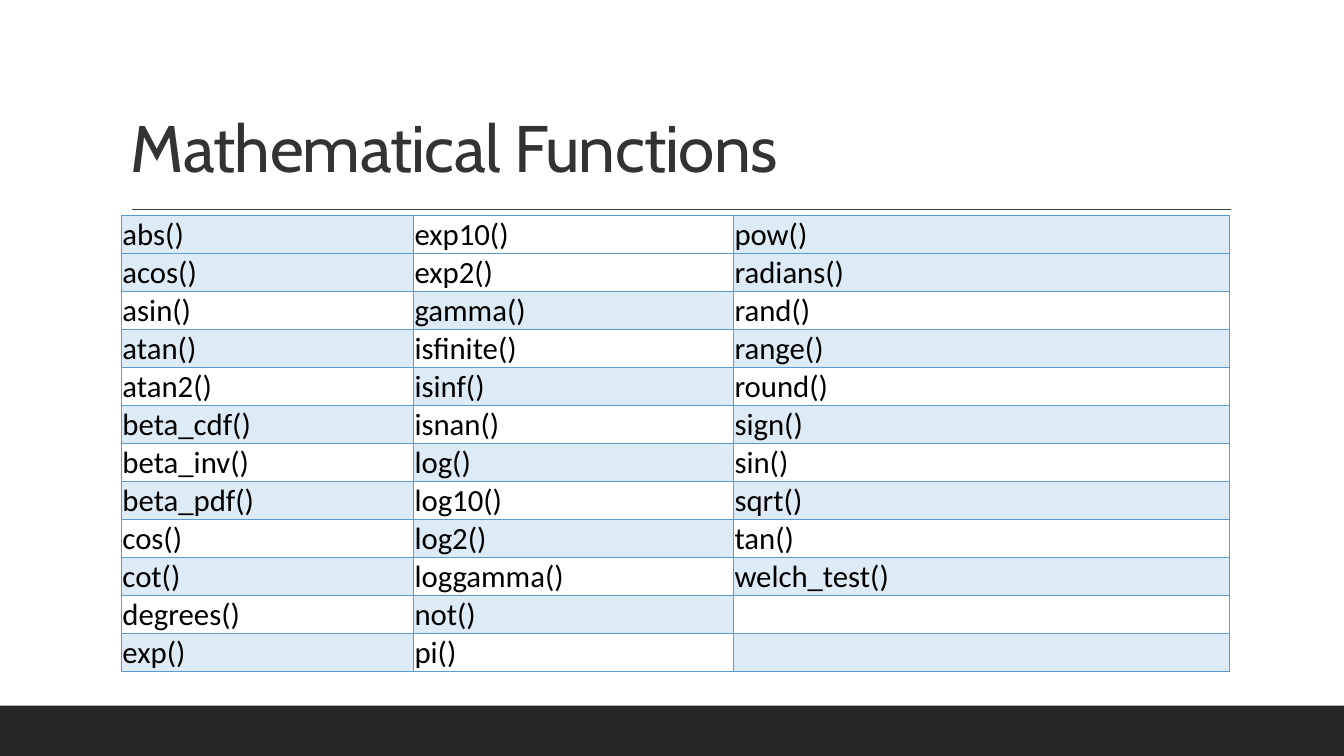
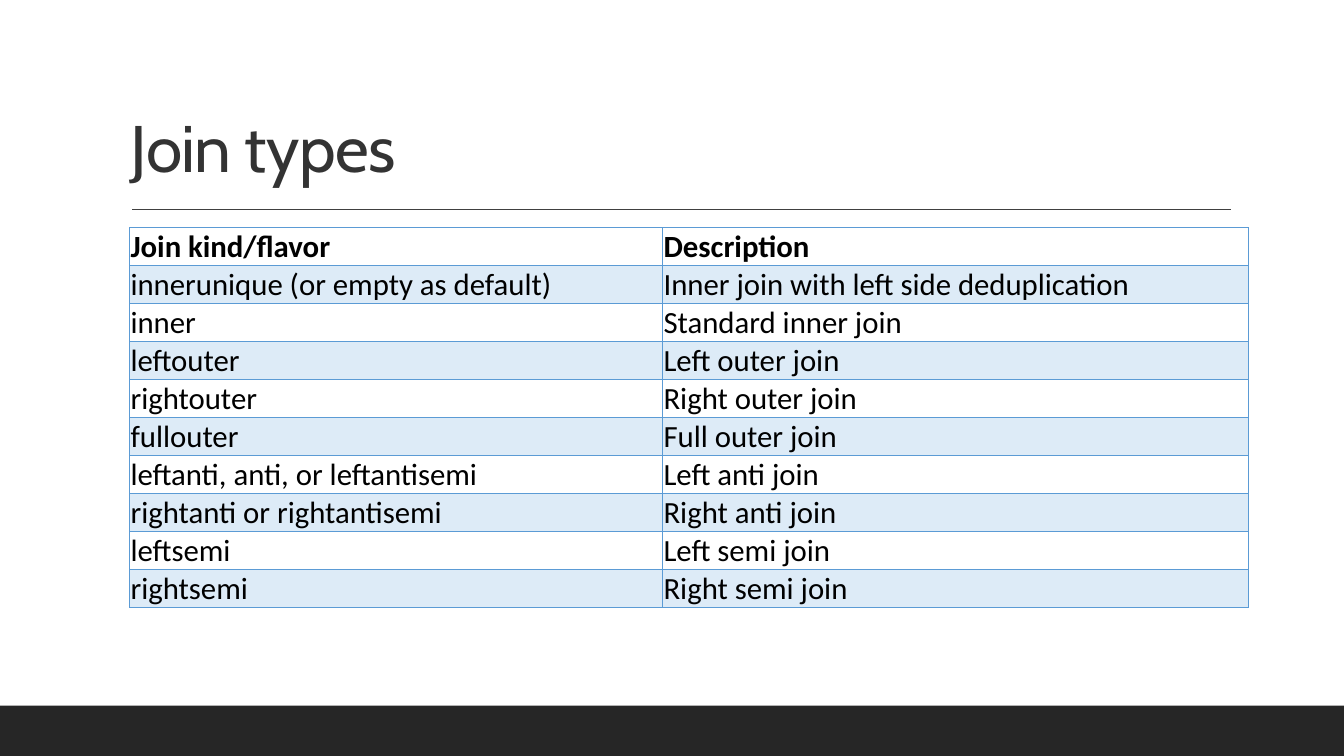
from dataclasses import dataclass

from pptx import Presentation, oxml, util as u
from pptx.dml.color import RGBColor
from pptx.enum import shapes, text
from pptx.oxml import ns


@dataclass(frozen=True)
class Theme:
    footer: str = "262626"
    rule: str = "404040"
    title: str = "333333"
    body: str = "000000"
    band: str = "DDEBF7"
    border: str = "5B9BD5"
    title_font: str = "Cabin"
    body_font: str = "Calibri"
    title_size: int = 47
    body_size: int = 22
    rule_width: float = 1
    border_width: float = 0.5
    row_share: float = 4.97


FUNCTION_ROWS = 12
FUNCTIONS = """
abs() acos() asin() atan() atan2() beta_cdf() beta_inv() beta_pdf() cos() cot() degrees() exp()
exp10() exp2() gamma() isfinite() isinf() isnan() log() log10() log2() loggamma() not() pi()
pow() radians() rand() range() round() sign() sin() sqrt() tan() welch_test()
""".split()

JOINS = [
    ("Join kind/flavor", "Description"),
    ("innerunique (or empty as default)", "Inner join with left side deduplication"),
    ("inner", "Standard inner join"),
    ("leftouter", "Left outer join"),
    ("rightouter", "Right outer join"),
    ("fullouter", "Full outer join"),
    ("leftanti, anti, or leftantisemi", "Left anti join"),
    ("rightanti or rightantisemi", "Right anti join"),
    ("leftsemi", "Left semi join"),
    ("rightsemi", "Right semi join"),
]


def apply(target, formats):
    for name, value in formats.items():
        setattr(target, name, value)


class Deck:
    def __init__(self, theme):
        self.theme = theme
        self.file = Presentation()
        apply(self.file, {"slide_width": u.Inches(13.33), "slide_height": u.Inches(7.5)})
        self.slide = None

    def across(self, percent):
        return round(self.file.slide_width * percent / 100)

    def down(self, percent):
        return round(self.file.slide_height * percent / 100)

    def area(self, left, top, width, height):
        return self.across(left), self.down(top), self.across(width), self.down(height)

    def font(self, target, color, **formats):
        apply(target, formats)
        target.color.rgb = RGBColor.from_string(color)

    def page(self, heading):
        self.slide = self.file.slides.add_slide(self.file.slide_layouts[6])
        self.footer()
        self.rule()
        self.title(heading)

    def footer(self):
        footer = self.slide.shapes.add_shape(
            shapes.MSO_SHAPE.RECTANGLE, *self.area(0, 93.33, 100, 6.67))
        footer.shadow.inherit = False
        footer.fill.solid()
        footer.fill.fore_color.rgb = RGBColor.from_string(self.theme.footer)
        footer.line.fill.background()

    def rule(self):
        level = self.down(27.7)
        rule = self.slide.shapes.add_connector(
            shapes.MSO_CONNECTOR.STRAIGHT, self.across(9.83), level, self.across(91.6), level)
        rule.line.color.rgb = RGBColor.from_string(self.theme.rule)
        rule.line.width = u.Pt(self.theme.rule_width)
        oxml.xmlchemy.OxmlElement("a:effectLst")
        rule._element.spPr.append(oxml.parse_xml(f"<a:effectLst {ns.nsdecls('a')}/>"))

    def title(self, heading):
        frame = self.slide.shapes.add_textbox(*self.area(9, 4.13, 82.5, 21.2)).text_frame
        apply(frame, {"word_wrap": True, "vertical_anchor": text.MSO_ANCHOR.BOTTOM})
        paragraph = frame.paragraphs[0]
        paragraph.line_spacing = 0.9
        run = paragraph.add_run()
        run.text = heading
        self.font(run.font, self.theme.title, name=self.theme.title_font,
                  size=u.Pt(self.theme.title_size))
        run._r.get_or_add_rPr().set("spc", "-50")

    def table(self, left, top, widths, rows, shaded, header=False):
        row_share = self.theme.row_share
        table = self.slide.shapes.add_table(
            len(rows), len(widths),
            *self.area(left, top, sum(widths), row_share * len(rows))).table
        apply(table, {"first_row": False, "horz_banding": False})
        for column, width in zip(table.columns, widths):
            column.width = self.across(width)
        for row, entries in enumerate(rows):
            table.rows[row].height = self.down(row_share)
            for column, entry in enumerate(entries):
                self.cell(table.cell(row, column), entry,
                          shaded(row, column), header and row == 0)

    def cell(self, cell, entry, is_shaded, is_bold):
        inset = u.Inches(0.01)
        apply(cell, {"margin_left": inset, "margin_right": inset, "margin_top": inset,
                     "margin_bottom": 0, "vertical_anchor": text.MSO_ANCHOR.BOTTOM})
        self.borders(cell)
        if is_shaded:
            cell.fill.solid()
            cell.fill.fore_color.rgb = RGBColor.from_string(self.theme.band)
        else:
            cell.fill.background()
        if entry:
            run = cell.text_frame.paragraphs[0].add_run()
            run.text = entry
            self.font(run.font, self.theme.body, name=self.theme.body_font,
                      size=u.Pt(self.theme.body_size), bold=is_bold)

    def borders(self, cell):
        properties = cell._tc.get_or_add_tcPr()
        for side in "LRTB":
            properties.append(oxml.parse_xml(
                f'<a:ln{side} {ns.nsdecls("a")} w="{u.Pt(self.theme.border_width)}">'
                f'<a:solidFill><a:srgbClr val="{self.theme.border}"/></a:solidFill>'
                f'</a:ln{side}>'))


def function_shaded(row, column):
    return (row == 0 or row % 2 == 1) != (column == 1)


def join_shaded(row, column):
    return row % 2 == 1


def main():
    deck = Deck(Theme())

    deck.page("Mathematical Functions")
    names = FUNCTIONS + [""] * (-len(FUNCTIONS) % FUNCTION_ROWS)
    function_rows = [names[row::FUNCTION_ROWS] for row in range(FUNCTION_ROWS)]
    deck.table(9.04, 28.5, (21.73, 23.81, 36.91), function_rows, function_shaded)

    deck.page("Join types")
    deck.table(9.64, 30.1, (39.66, 43.6), JOINS, join_shaded, header=True)

    deck.file.save("out.pptx")


if __name__ == "__main__":
    main()
